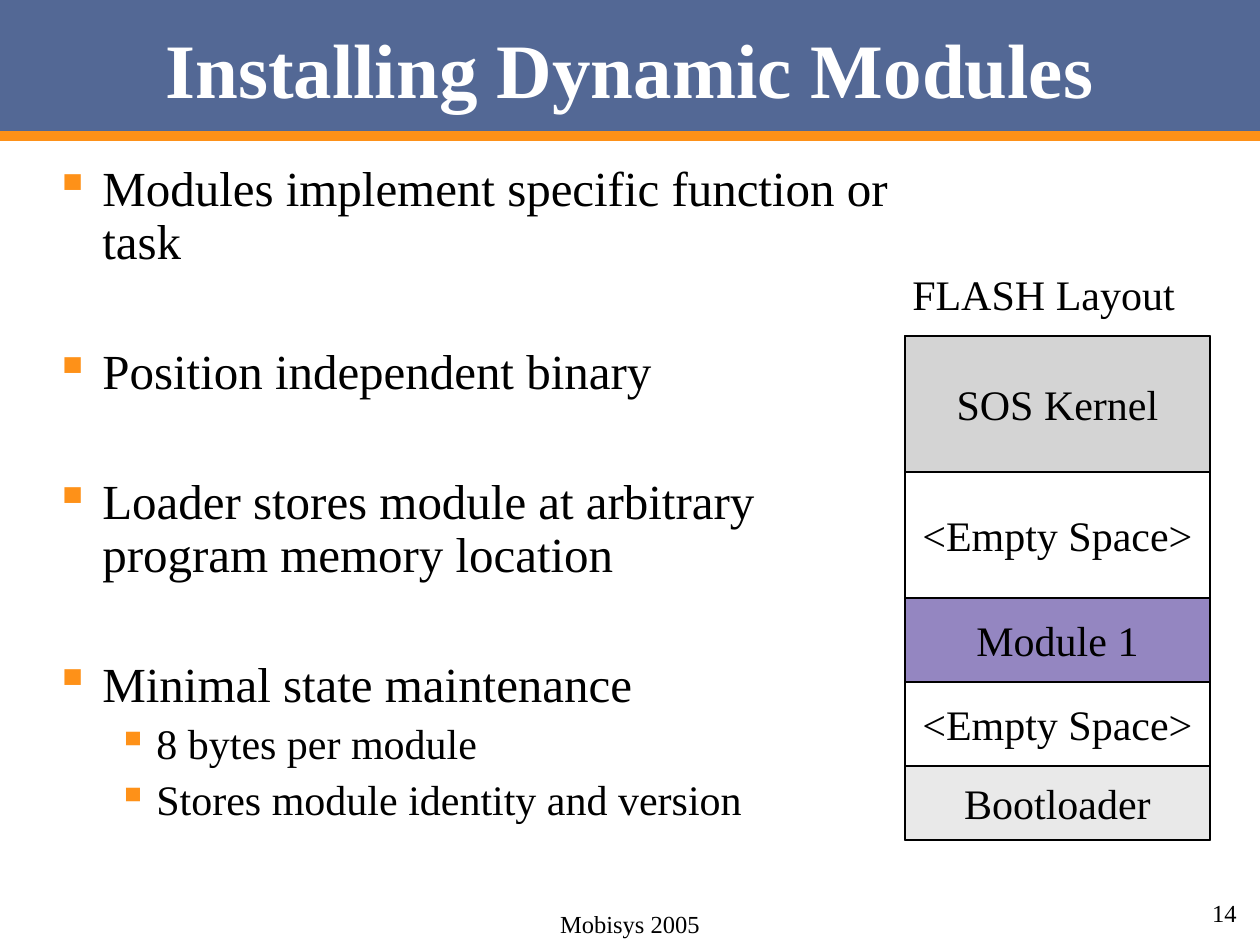
from typing import NamedTuple

import pptx
import pptx.dml.color
import pptx.enum.shapes
import pptx.enum.text
import pptx.oxml.ns
import pptx.util
from lxml import etree

EMU_PER_PX = 914400 / 126
FONT = "Times New Roman"
BLACK, WHITE, ORANGE, BLUE = "000000", "FFFFFF", "FE9118", "536895"
ALIGN = pptx.enum.text.PP_ALIGN
ANCHOR = pptx.enum.text.MSO_ANCHOR
RECTANGLE = pptx.enum.shapes.MSO_SHAPE.RECTANGLE


class Box(NamedTuple):
    left: int
    top: int
    width: int
    height: int


class Region(NamedTuple):
    label: str
    height: int
    fill: str


class Level(NamedTuple):
    size: int
    margin: int
    hanging: int


class Bullet(NamedTuple):
    text: str
    level: int = 0
    space_before: int = 0


SLIDE = Box(0, 0, 1260, 945)
BANNER = Box(0, 0, 1260, 136)
FLASH = Box(905, 336, 305, 504)
REGIONS = [
    Region("SOS Kernel", 136, "D4D4D4"),
    Region("<Empty Space>", 126, WHITE),
    Region("Module 1", 84, "9486C1"),
    Region("<Empty Space>", 84, WHITE),
    Region("Bootloader", 74, "E9E9E9"),
]
LEVELS = [Level(28, 48, 48), Level(24, 102, 39)]
BULLETS = [
    Bullet("Modules implement specific function or task"),
    Bullet("Position independent binary", 0, 44),
    Bullet("Loader stores module at arbitrary program memory location", 0, 44),
    Bullet("Minimal state maintenance", 0, 44),
    Bullet("8 bytes per module", 1, 6),
    Bullet("Stores module identity and version", 1, 6),
]


def px(length: int) -> pptx.util.Emu:
    return pptx.util.Emu(round(length * EMU_PER_PX))


def emu(box: Box) -> list[pptx.util.Emu]:
    return [px(length) for length in box]


def rgb(color: str) -> pptx.dml.color.RGBColor:
    return pptx.dml.color.RGBColor.from_string(color)


def format_paragraph(paragraph, size: int, align=ALIGN.LEFT, color: str = BLACK, bold: bool = False) -> None:
    paragraph.alignment = align
    font = paragraph.font
    font.name, font.size, font.bold = FONT, pptx.util.Pt(size), bold
    font.color.rgb = rgb(color)


def add_rectangle(slide, box: Box, fill: str | None, outline: str | None = BLACK):
    rectangle = slide.shapes.add_shape(RECTANGLE, *emu(box))
    rectangle.shadow.inherit = False
    if fill:
        rectangle.fill.solid()
        rectangle.fill.fore_color.rgb = rgb(fill)
    else:
        rectangle.fill.background()
    if outline:
        rectangle.line.color.rgb = rgb(outline)
        rectangle.line.width = pptx.util.Pt(0.75)
    else:
        rectangle.line.fill.background()
    return rectangle


def add_text(slide, box: Box, text: str, size: int, align) -> None:
    frame = slide.shapes.add_textbox(*emu(box)).text_frame
    frame.word_wrap = True
    frame.text = text
    format_paragraph(frame.paragraphs[0], size, align)


def add_banner(slide) -> None:
    add_rectangle(slide, BANNER, BLUE, None)
    rule = slide.shapes.add_connector(
        pptx.enum.shapes.MSO_CONNECTOR.STRAIGHT,
        px(0), px(BANNER.height), px(BANNER.width), px(BANNER.height),
    )
    rule.line.color.rgb = rgb(ORANGE)
    rule.line.width = pptx.util.Pt(6)
    etree.SubElement(rule._element.spPr, pptx.oxml.ns.qn("a:effectLst"))


def place_title(slide, text: str) -> None:
    """Format the title placeholder and bring it in front of the banner."""
    title = slide.shapes.title
    title.left, title.top, title.width, title.height = emu(Box(63, 0, 1134, 136))
    frame = title.text_frame
    frame.text = text
    frame.word_wrap = True
    frame.auto_size = pptx.enum.text.MSO_AUTO_SIZE.NONE
    frame.vertical_anchor = ANCHOR.MIDDLE
    format_paragraph(frame.paragraphs[0], 44, ALIGN.CENTER, WHITE, True)
    slide.shapes._spTree.append(title._element)


def set_bullet(paragraph, level: Level) -> None:
    properties = paragraph._p.get_or_add_pPr()
    properties.set("marL", str(px(level.margin)))
    properties.set("indent", str(px(-level.hanging)))
    bullet_color = etree.SubElement(properties, pptx.oxml.ns.qn("a:buClr"))
    etree.SubElement(bullet_color, pptx.oxml.ns.qn("a:srgbClr"), val=ORANGE)
    etree.SubElement(properties, pptx.oxml.ns.qn("a:buChar"), char="▪")


def add_bullets(slide, box: Box, bullets: list[Bullet]) -> None:
    frame = slide.shapes.add_textbox(*emu(box)).text_frame
    frame.word_wrap = True
    for index, bullet in enumerate(bullets):
        paragraph = frame.add_paragraph() if index else frame.paragraphs[0]
        paragraph.text = bullet.text
        paragraph.level = bullet.level
        set_bullet(paragraph, LEVELS[bullet.level])
        paragraph.line_spacing = 0.9
        if bullet.space_before:
            paragraph.space_before = pptx.util.Pt(bullet.space_before)
        format_paragraph(paragraph, LEVELS[bullet.level].size)


def add_flash_layout(slide) -> None:
    add_text(slide, Box(878, 262, 331, 63), "FLASH Layout", 24, ALIGN.CENTER)
    add_rectangle(slide, FLASH, None)
    top = FLASH.top
    for region in REGIONS:
        box = Box(FLASH.left, top, FLASH.width, region.height)
        frame = add_rectangle(slide, box, region.fill).text_frame
        frame.word_wrap = False
        frame.vertical_anchor = ANCHOR.MIDDLE
        frame.text = region.label
        format_paragraph(frame.paragraphs[0], 24, ALIGN.CENTER)
        top += region.height


def main() -> None:
    presentation = pptx.Presentation()
    presentation.slide_width, presentation.slide_height = px(SLIDE.width), px(SLIDE.height)
    slide = presentation.slides.add_slide(presentation.slide_layouts.get_by_name("Title Only"))
    add_banner(slide)
    place_title(slide, "Installing Dynamic Modules")
    add_bullets(slide, Box(42, 158, 892, 693), BULLETS)
    add_flash_layout(slide)
    add_text(slide, Box(398, 903, 464, 32), "Mobisys 2005", 14, ALIGN.CENTER)
    add_text(slide, Box(987, 892, 262, 42), "14", 14, ALIGN.RIGHT)
    presentation.save("out.pptx")


if __name__ == "__main__":
    main()
